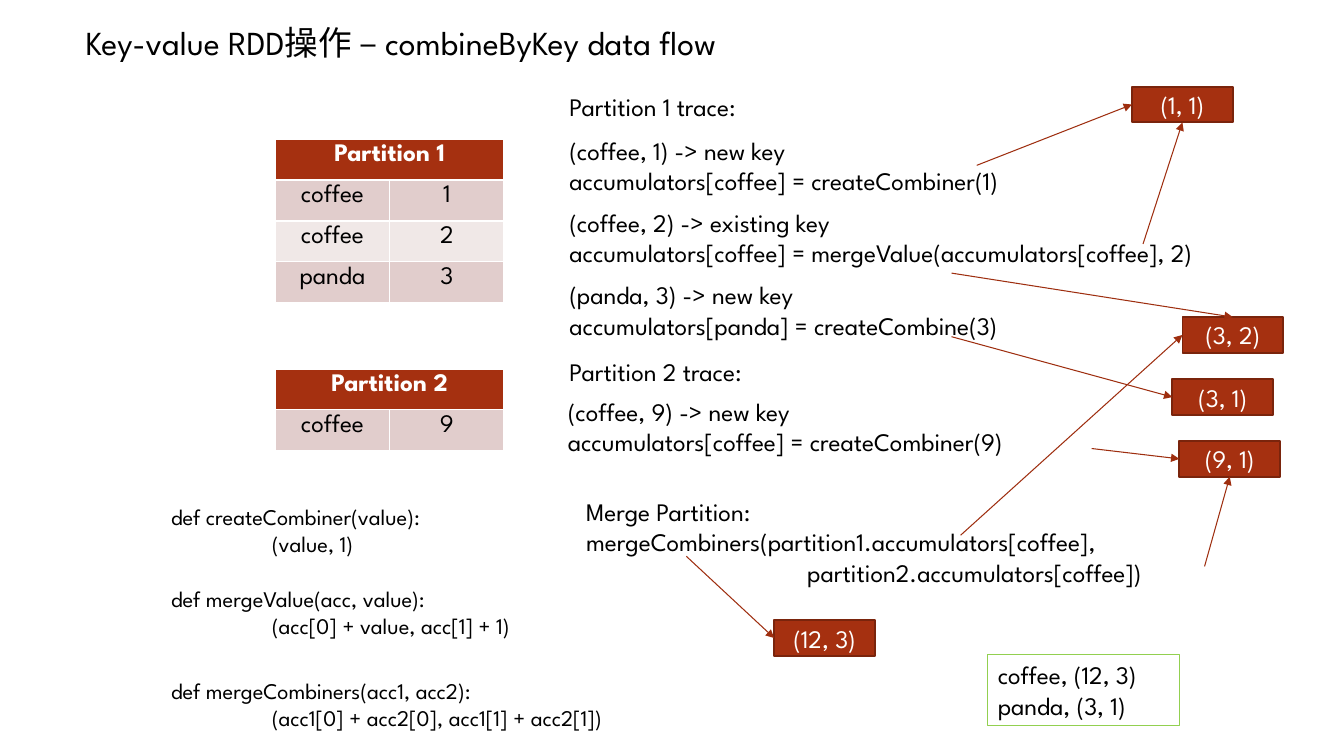
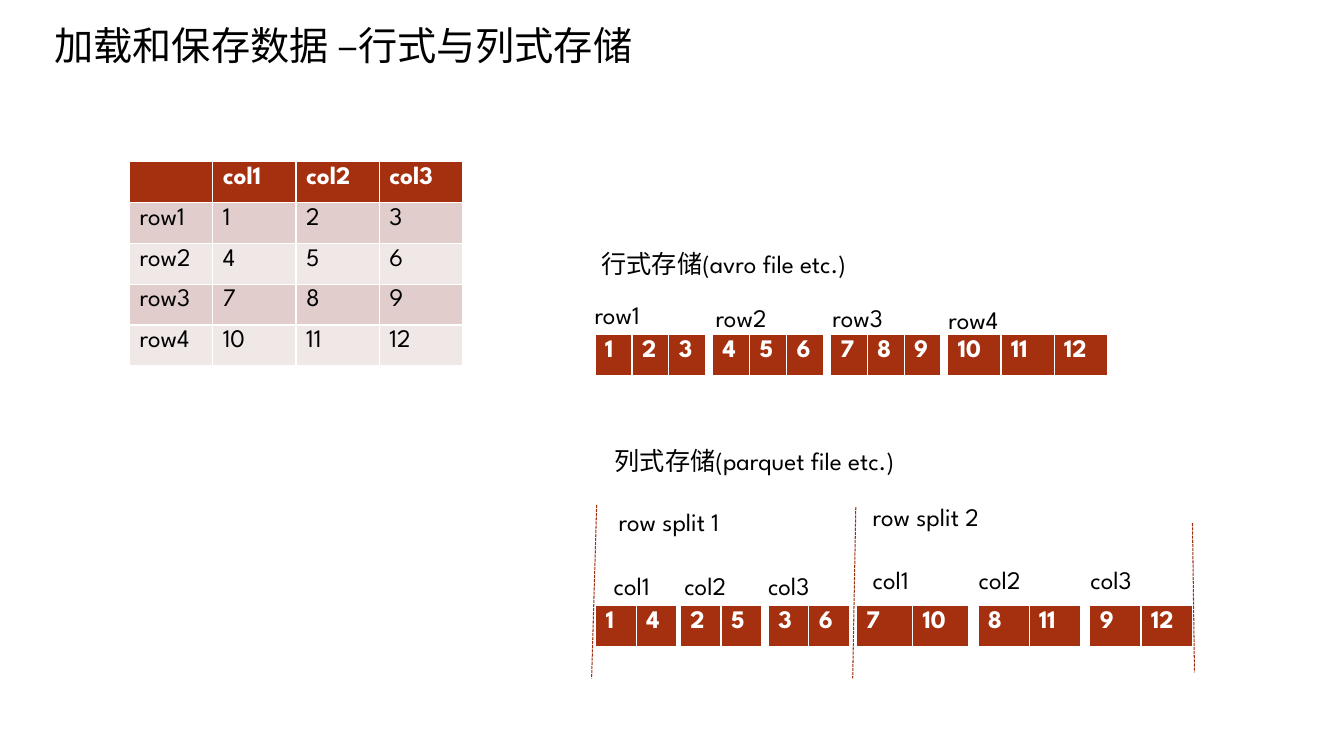
from lxml import etree
from pptx import Presentation
from pptx.dml.color import RGBColor
from pptx.enum import dml, shapes, text
from pptx.oxml import ns
from pptx.util import Pt

FONT = "League Spartan"
RUST, RUST_EDGE, RUST_LINE = "A53010", "7A240C", "9E2E0F"
BANDS = ("E1CDCC", "F0E8E7")
GREEN, BLACK, WHITE = "92D050", "000000", "FFFFFF"
ROW_HEIGHT = 29.2
LABEL_HEIGHT = 29
LEFT, CENTER = text.PP_ALIGN.LEFT, text.PP_ALIGN.CENTER
TOP_SITE, LEFT_SITE, BOTTOM_SITE = 0, 1, 2


def rgb(hex_color):
    return RGBColor.from_string(hex_color)


def add_run(paragraph, words, size=18, color=BLACK, bold=False):
    run = paragraph.add_run()
    run.text = words
    run.font.name = FONT
    run.font.size = Pt(size)
    run.font.bold = bold
    run.font.color.rgb = rgb(color)


def write_lines(frame, lines, size=18, color=BLACK, align=LEFT):
    """Write one paragraph per line; a line may be a (words, indent) pair."""
    frame.word_wrap = True
    frame.auto_size = text.MSO_AUTO_SIZE.NONE
    for number, line in enumerate(lines):
        words, indent = (line, 0) if isinstance(line, str) else line
        paragraph = frame.add_paragraph() if number else frame.paragraphs[0]
        paragraph.alignment = align
        if indent:
            properties = paragraph._p.get_or_add_pPr()
            properties.set("marL", str(Pt(indent)))
            properties.set("indent", "0")
        add_run(paragraph, words, size, color)


def add_titled_slide(deck, words, left, top, width, height, size):
    slide = deck.slides.add_slide(deck.slide_layouts.get_by_name("Title Only"))
    title = slide.shapes.title
    title.left, title.top = Pt(left), Pt(top)
    title.width, title.height = Pt(width), Pt(height)
    title.text_frame.vertical_anchor = text.MSO_ANCHOR.TOP
    write_lines(title.text_frame, [words], size)
    return slide


def add_text(slide, left, top, width, height, lines, size=18):
    box = slide.shapes.add_textbox(Pt(left), Pt(top), Pt(width), Pt(height))
    write_lines(box.text_frame, lines, size)


def add_box(slide, left, top, width, height, lines, edge, edge_width,
            fill=None, color=BLACK, align=LEFT):
    box = slide.shapes.add_shape(
        shapes.MSO_SHAPE.RECTANGLE, Pt(left), Pt(top), Pt(width), Pt(height))
    box.shadow.inherit = False
    if fill:
        box.fill.solid()
        box.fill.fore_color.rgb = rgb(fill)
    else:
        box.fill.background()
    box.line.color.rgb = rgb(edge)
    box.line.width = Pt(edge_width)
    box.text_frame.vertical_anchor = text.MSO_ANCHOR.MIDDLE
    write_lines(box.text_frame, lines, color=color, align=align)
    return box


def add_accumulator(slide, left, top, value):
    return add_box(slide, left, top, 72, 25.5, [value], RUST_EDGE, 1.25,
                   RUST, WHITE, CENTER)


def add_line(slide, start, end):
    line = slide.shapes.add_connector(
        shapes.MSO_CONNECTOR.STRAIGHT, *map(Pt, start + end))
    line.line.color.rgb = rgb(RUST_LINE)
    line.line.width = Pt(0.75)
    etree.SubElement(line._element.spPr, ns.qn("a:effectLst"))
    return line


def add_arrow(slide, start, target, site):
    arrow = add_line(slide, start, start)
    arrow.end_connect(target, site)
    etree.SubElement(arrow.line._get_or_add_ln(), ns.qn("a:tailEnd"),
                     type="triangle")


def add_split_line(slide, start, end):
    add_line(slide, start, end).line.dash_style = dml.MSO_LINE.SQUARE_DOT


def add_table(slide, left, top, column_width, rows, align=LEFT):
    """Add a table with a rust header row and banded rows below it."""
    columns = len(rows[0])
    table = slide.shapes.add_table(
        len(rows), columns, Pt(left), Pt(top),
        Pt(column_width * columns), Pt(ROW_HEIGHT * len(rows))).table
    for column in table.columns:
        column.width = Pt(column_width)
    for r, row in enumerate(rows):
        header = r == 0
        for c, words in enumerate(row):
            cell = table.cell(r, c)
            cell.fill.solid()
            cell.fill.fore_color.rgb = rgb(RUST if header else BANDS[(r - 1) % 2])
            paragraph = cell.text_frame.paragraphs[0]
            paragraph.alignment = align
            if words:
                add_run(paragraph, words, color=WHITE if header else BLACK,
                        bold=header)
    return table


def add_partition(slide, top, name, pairs):
    table = add_table(slide, 196.6, top, 81.75, [(name, ""), *pairs], CENTER)
    table.cell(0, 0).merge(table.cell(0, 1))


def add_stored_blocks(slide, top, blocks):
    """Add one-row tables, each with its label above."""
    for left, column_width, values, label, label_left, label_top in blocks:
        add_table(slide, left, top, column_width, [values])
        add_text(slide, label_left, label_top, 57, LABEL_HEIGHT, [label])


def build_data_flow(deck):
    slide = add_titled_slide(
        deck, "Key-value RDD操作 – combineByKey data flow", 54, 12.2, 558, 36, 24)

    add_partition(slide, 99.4, "Partition 1",
                  [("coffee", "1"), ("coffee", "2"), ("panda", "3")])
    add_partition(slide, 263.5, "Partition 2", [("coffee", "9")])

    functions = [
        (355.7, "def createCombiner(value):", "(value, 1)"),
        (414.7, "def mergeValue(acc, value):", "(acc[0] + value, acc[1] + 1)"),
        (480.2, "def mergeCombiners(acc1, acc2):",
         "(acc1[0] + acc2[0], acc1[1] + acc2[1])"),
    ]
    for top, signature, result in functions:
        add_text(slide, 115.2, top, 390, 46, [signature, (result, 72)], 16)

    trace = [
        (399.6, 61.9, ["Partition 1 trace:"]),
        (399.6, 92.9, ["(coffee, 1) -> new key",
                       "accumulators[coffee] = createCombiner(1)"]),
        (399.6, 144.3, ["(coffee, 2) -> existing key",
                        "accumulators[coffee] = mergeValue(accumulators[coffee], 2)"]),
        (399.6, 196.2, ["(panda, 3) -> new key",
                        "accumulators[panda] = createCombine(3)"]),
        (399.6, 250.6, ["Partition 2 trace:"]),
        (398.5, 279.7, ["(coffee, 9) -> new key",
                        "accumulators[coffee] = createCombiner(9)"]),
        (411.5, 351, ["Merge Partition:",
                      "mergeCombiners(partition1.accumulators[coffee],",
                      ("partition2.accumulators[coffee])", 158)]),
    ]
    for left, top, lines in trace:
        add_text(slide, left, top, 530, 7.2 + 21.8 * len(lines), lines)

    accumulators = [
        (808.6, 61.9, "(1, 1)",
         [(697.7, 118.1, LEFT_SITE), (816.5, 174.2, BOTTOM_SITE)]),
        (844.6, 226.5, "(3, 2)",
         [(679.7, 195.1, TOP_SITE), (686.2, 382.3, LEFT_SITE)]),
        (837.4, 270.9, "(3, 1)", [(679.7, 240.5, LEFT_SITE)]),
        (842.4, 315, "(9, 1)",
         [(779.8, 320.4, LEFT_SITE), (860.4, 404.6, BOTTOM_SITE)]),
        (553, 443, "(12, 3)", [(490.3, 397.4, LEFT_SITE)]),
    ]
    for left, top, value, sources in accumulators:
        accumulator = add_accumulator(slide, left, top, value)
        for x, y, site in sources:
            add_arrow(slide, (x, y), accumulator, site)

    add_box(slide, 705.6, 467.3, 137, 51, ["coffee, (12, 3)", "panda, (3, 1)"],
            GREEN, 0.75)


def build_storage(deck):
    slide = add_titled_slide(
        deck, "加载和保存数据 –行式与列式存储", 31.7, 11.5, 450, 41, 28)

    rows = [("", "col1", "col2", "col3")]
    for r in range(4):
        rows.append((f"row{r + 1}", *(str(3 * r + c) for c in (1, 2, 3))))
    add_table(slide, 92.5, 115.4, 59.5, rows)

    add_text(slide, 422.6, 173.5, 230, LABEL_HEIGHT, ["行式存储(avro file etc.)"])
    label_places = [(417.6, 210.2), (504, 212.4), (587.5, 212.4), (670.3, 213.8)]
    add_stored_blocks(slide, 239.2, [
        (425 + 84 * r, 38 if r == 3 else 26.4, row[1:], row[0], *place)
        for r, (row, place) in enumerate(zip(rows[1:], label_places))])

    add_text(slide, 432, 314.6, 260, LABEL_HEIGHT, ["列式存储(parquet file etc.)"])
    add_stored_blocks(slide, 432.7, [
        (425.5, 29, ("1", "4"), "col1", 431.3, 403.9),
        (486, 29, ("2", "5"), "col2", 481.7, 403.9),
        (548.8, 29, ("3", "6"), "col3", 541.5, 403.9),
        (611.5, 40.3, ("7", "10"), "col1", 616.3, 399.6),
        (698.5, 36.6, ("8", "11"), "col2", 692, 399.6),
        (778.4, 36.6, ("9", "12"), "col3", 771.8, 399.6),
    ])
    for start, end in [((426.2, 360.7), (422.6, 484.6)),
                       ((611.3, 362.2), (609.1, 484.6)),
                       ((851.8, 373.7), (853.2, 480.2))]:
        add_split_line(slide, start, end)
    add_text(slide, 434.9, 357.8, 100, LABEL_HEIGHT, ["row split 1"])
    add_text(slide, 616.3, 354.2, 100, LABEL_HEIGHT, ["row split 2"])


def main():
    deck = Presentation()
    deck.slide_width, deck.slide_height = Pt(960), Pt(540)
    build_data_flow(deck)
    build_storage(deck)
    deck.save("out.pptx")


if __name__ == "__main__":
    main()
